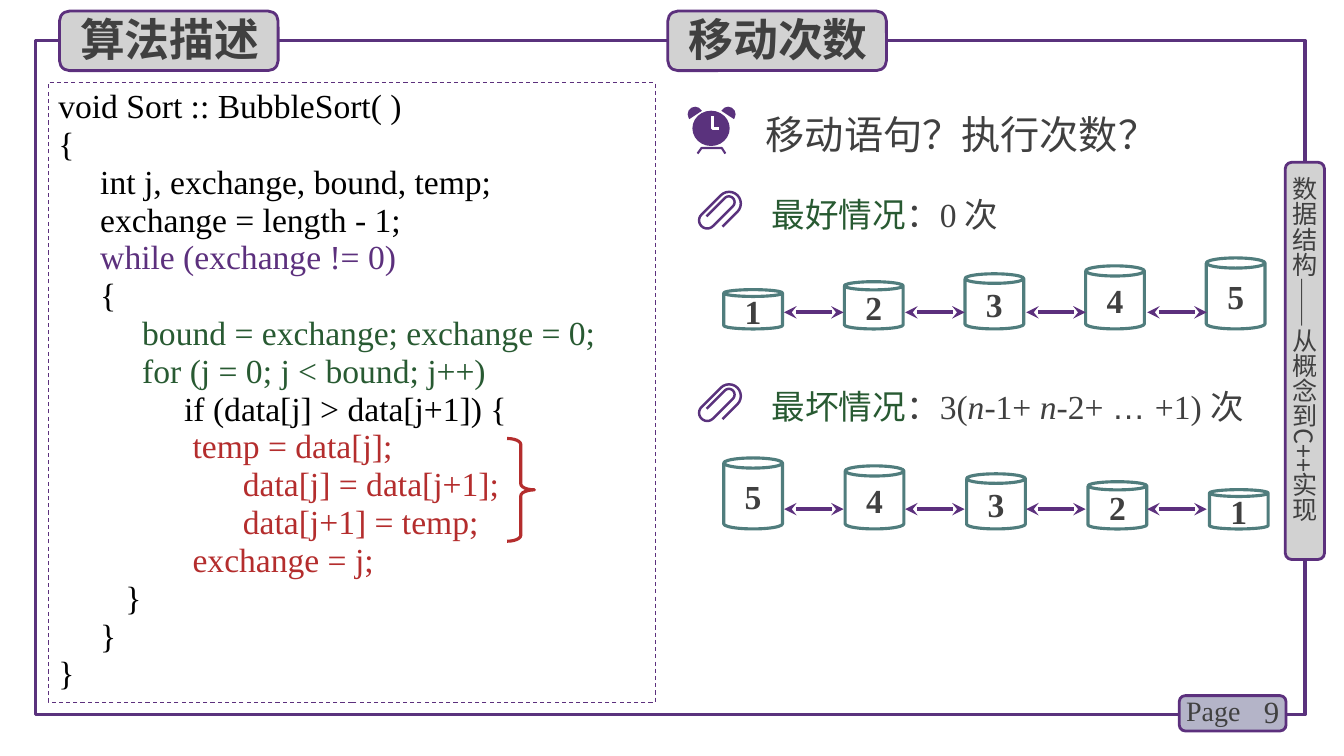
import math

from lxml import etree
from pptx import Presentation
from pptx import util as u
from pptx.dml.color import RGBColor
from pptx.enum import dml, shapes, text
from pptx.oxml.ns import qn

PURPLE, VIOLET, GREY, LIGHT = "5C307D", "5A327D", "404040", "D2D2D2"
GREEN, RED, BLACK, TEAL = "285A32", "B42D2D", "000000", "507D7D"
SERIF, SANS = "Times New Roman", "Noto Sans CJK SC"
PRESET = shapes.MSO_SHAPE
ANCHOR, ALIGN = text.MSO_ANCHOR, text.PP_ALIGN

presentation = Presentation()
presentation.slide_width = u.Cm(33.87)
presentation.slide_height = u.Cm(19.05)
slide = presentation.slides.add_slide(presentation.slide_layouts[6])


def add_preset(preset, box, fill=None, line=None, width=2, adjustments=()):
    """Add a flat preset shape; box is left, top, width, height in cm."""
    shape = slide.shapes.add_shape(preset, *map(u.Cm, box))
    shape.shadow.inherit = False
    shape.fill.background()
    shape.line.fill.background()
    if fill:
        shape.fill.solid()
        shape.fill.fore_color.rgb = RGBColor.from_string(fill)
    if line:
        shape.line.color.rgb = RGBColor.from_string(line)
        shape.line.width = u.Pt(width)
    for index, value in enumerate(adjustments):
        shape.adjustments[index] = value
    return shape


def write(target, lines, size, font=SERIF, bold=False, align=ALIGN.LEFT,
          anchor=ANCHOR.TOP, spacing=None, grow=True):
    """Fill a shape, or a new text box at a given place, with lines of (text, colour) runs."""
    if isinstance(target, tuple):
        target = slide.shapes.add_textbox(*map(u.Cm, target))
    frame = target.text_frame
    frame.word_wrap = True
    frame.vertical_anchor = anchor
    if grow:
        frame.auto_size = text.MSO_AUTO_SIZE.SHAPE_TO_FIT_TEXT
    for index, runs in enumerate(lines):
        paragraph = frame.add_paragraph() if index else frame.paragraphs[0]
        paragraph.alignment = align
        paragraph.line_spacing = spacing
        for words, colour in runs:
            run = paragraph.add_run()
            run.text = words
            run.font.size = u.Pt(size)
            run.font.bold = bold
            run.font.name = font
            run.font.color.rgb = RGBColor.from_string(colour)
            east_asian = etree.SubElement(run.font._element, qn("a:ea"))
            east_asian.set("typeface", SANS)
    return frame


# Page frame, page number and side label
add_preset(PRESET.RECTANGLE, (0.89, 1.02, 32, 16.99), line=VIOLET, width=2.25)
add_preset(PRESET.ROUNDED_RECTANGLE, (29.72, 17.53, 2.69, 0.89), "B4B4C8", PURPLE)
write((30.99, 17.42, 1.5, 1.02), [[("9", GREY)]], 22,
      align=ALIGN.RIGHT, anchor=ANCHOR.MIDDLE, grow=False)
write((29.64, 17.35, 1.98, 1.12), [[("Page", GREY)]], 20)
add_preset(PRESET.ROUNDED_RECTANGLE, (32.39, 4.09, 0.99, 10.01), LIGHT, PURPLE)
side_label = write((32.49, 4.45, 0.76, 9.6), [[("数据结构——从概念到C++实现", GREY)]], 18, SANS)
side_label.margin_left = side_label.margin_right = 0
side_label.margin_top = side_label.margin_bottom = 0
side_label._txBody.bodyPr.set("vert", "eaVert")

# Section headings
for left, heading in ((1.5, "算法描述"), (16.83, "移动次数")):
    add_preset(PRESET.ROUNDED_RECTANGLE, (left, 0.28, 5.51, 1.5), LIGHT, PURPLE)
    write((left + 0.27, 0.18, 5.18, 1.63), [[(heading, GREY)]], 32, SANS, bold=True)

# Bubble sort listing
code = [
    ("void Sort :: BubbleSort( )", BLACK),
    ("{", BLACK),
    ("     int j, exchange, bound, temp;", BLACK),
    ("     exchange = length - 1;", BLACK),
    ("     while (exchange != 0)", PURPLE),
    ("     {", BLACK),
    ("          bound = exchange; exchange = 0;", GREEN),
    ("          for (j = 0; j < bound; j++)", GREEN),
    ("               if (data[j] > data[j+1]) {", BLACK),
    ("\t          temp = data[j];", RED),
    ("                      data[j] = data[j+1];", RED),
    ("                      data[j+1] = temp;", RED),
    ("\t          exchange = j;", RED),
    ("\t  }", BLACK),
    ("     }", BLACK),
    ("}", BLACK),
]
code_box = add_preset(PRESET.RECTANGLE, (1.22, 2.08, 15.29, 15.62), line=PURPLE, width=0.75)
code_box.line.dash_style = dml.MSO_LINE.DASH
write(code_box, [[line] for line in code], 24, spacing=u.Pt(27))

# Question with alarm clock
write((19.05, 2.29, 10.8, 1.8), [[("移动语句？执行次数？", GREY)]], 28, SANS, spacing=1.3)
add_preset(PRESET.OVAL, (17.45, 2.79, 0.94, 0.89), VIOLET)
for left, start, end in ((17.33, 140, 333), (18.16, 207, 40)):
    add_preset(PRESET.CHORD, (left, 2.69, 0.38, 0.38), VIOLET,
               adjustments=(start * 0.6, end * 0.6))
strokes = [
    ([(17.95, 2.93), (17.95, 3.24), (18.11, 3.24)], "FFFFFF", 2),
    ([(17.58, 3.87), (17.68, 3.73), (18.19, 3.73), (18.28, 3.87)], VIOLET, 1.5),
]

# Paper clip wire along a 45° axis: each bend is (position, side before, side after)
bends = [(0.28, 0.32, -0.27), (-0.41, -0.27, 0.14), (0.3, 0.14, -0.15)]
wire = [(-0.25, 0.32)]
for position, before, after in bends:
    middle, radius = (before + after) / 2, abs(before - after) / 2
    for degrees in range(0, 181, 15):
        angle = math.radians(degrees)
        wire.append((position + math.copysign(radius, position) * math.sin(angle),
                     middle + (before - middle) * math.cos(angle)))
wire.append((-0.35, -0.15))
for centre in (5.31, 10.16):
    points = [(18.16 + (along + side) * math.sqrt(0.5), centre + (side - along) * math.sqrt(0.5))
              for along, side in wire]
    strokes.append((points, VIOLET, 1.75))

for points, colour, width in strokes:
    corners = [(u.Cm(x), u.Cm(y)) for x, y in points]
    builder = slide.shapes.build_freeform(*corners[0])
    builder.add_line_segments(corners[1:], close=False)
    stroke = builder.convert_to_shape()
    stroke.shadow.inherit = False
    stroke.fill.background()
    stroke.line.color.rgb = RGBColor.from_string(colour)
    stroke.line.width = u.Pt(width)

# Best and worst case
best = [("最好情况", GREEN), ("：0 次", GREY)]
worst = [("最坏情况", GREEN)] + [
    (part, GREY) for part in ("：3(", "n", "-1+ ", "n", "-2+ ", "… ", "+1) 次")]
cases = [
    (best, 4.65, 7.82, 8.29, 7.87, 3.04, (1, 2, 3, 4, 5)),
    (worst, 9.5, 13.36, 13.33, 12.83, 3.06, (5, 4, 3, 2, 1)),
]
for runs, top, label_width, base, arrow_y, pitch, values in cases:
    label = write((19.2, top, label_width, 1.4), [runs], 24, spacing=1.1)
    for run in label.paragraphs[0].runs:
        if run.text == "n":
            run.font.italic = True
        elif run.text == "… ":
            run.font.name = "Arial"

    for index, value in enumerate(values):
        left, height = 18.24 + index * pitch, 0.79 + 0.2 * value
        can = add_preset(PRESET.CAN, (left, base - height, 1.48, height),
                         line=TEAL, width=2.25, adjustments=(0.173,))
        write(can, [[(str(value), GREY)]], 24, bold=True, align=ALIGN.CENTER,
              anchor=ANCHOR.MIDDLE, grow=False).word_wrap = False

    for index in range(len(values) - 1):
        start = 19.76 + index * 3.05
        arrow = slide.shapes.add_connector(
            shapes.MSO_CONNECTOR.STRAIGHT, u.Cm(start), u.Cm(arrow_y),
            u.Cm(start + 1.5), u.Cm(arrow_y))
        arrow.line.color.rgb = RGBColor.from_string(PURPLE)
        arrow.line.width = u.Pt(3)
        for end in ("a:headEnd", "a:tailEnd"):
            etree.SubElement(arrow.line._get_or_add_ln(), qn(end)).set("type", "stealth")
        etree.SubElement(arrow._element.spPr, qn("a:effectLst"))

# Brace around the three moves
add_preset(PRESET.RIGHT_BRACE, (12.78, 11.05, 0.69, 2.59), line=RED, width=2.25,
           adjustments=(0.218, 0.5))

presentation.save("out.pptx")
